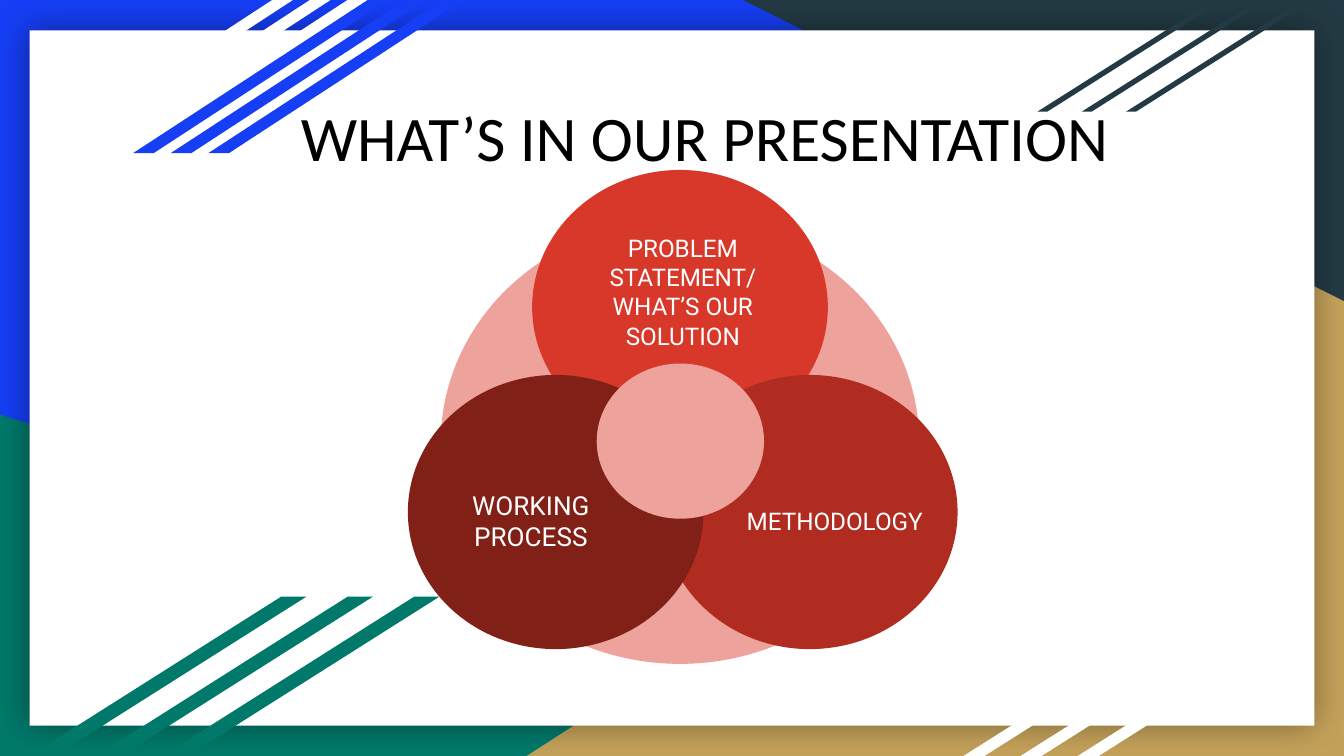
from dataclasses import dataclass

from lxml.etree import SubElement
from pptx import Presentation
from pptx.dml.color import RGBColor
from pptx.enum.shapes import MSO_SHAPE
from pptx.enum.text import MSO_ANCHOR, PP_ALIGN
from pptx.oxml.ns import qn
from pptx.util import Emu, Pt

PAGE_WIDTH, PAGE_HEIGHT = 2000, 1125
INSET = 20


@dataclass(frozen=True)
class Theme:
    blue: str = "163EF5"
    green: str = "00796B"
    gold: str = "C4A15A"
    slate: str = "233A44"
    white: str = "FFFFFF"
    black: str = "000000"
    pink: str = "EDA29B"
    red: str = "D83829"
    brick: str = "B02C20"
    maroon: str = "802017"
    title_font: str = "Calibri"
    label_font: str = "Roboto"
    title_size: int = 34
    label_size: int = 13
    large_label_size: int = 14


THEME = Theme()


def px(length):
    """Turn px, 200 to the inch, into EMU."""
    return Emu(length * 4572)


def add_filled(page, kind, left, top, width, height, color):
    shape = page.shapes.add_shape(kind, px(left), px(top), px(width), px(height))
    shape.shadow.inherit = False
    shape.fill.solid()
    shape.fill.fore_color.rgb = RGBColor.from_string(color)
    shape.line.fill.background()
    return shape


def add_corner(page, left, top, width, height, color, rotation=0, mirrored=False):
    corner = add_filled(page, MSO_SHAPE.RIGHT_TRIANGLE, left, top, width, height, color)
    corner.rotation = rotation
    if mirrored:
        corner._element.spPr.xfrm.set("flipH", "1")


def add_panel(page):
    """Add the white sheet with a soft glow-like shadow around it."""
    panel = add_filled(page, MSO_SHAPE.RECTANGLE, 44, 45, 1912, 1035, THEME.white)
    effects = panel._element.spPr.find(qn("a:effectLst"))
    shadow = SubElement(effects, qn("a:outerShdw"), blurRad=str(Pt(18)), dist="0",
                        dir="0", algn="ctr", rotWithShape="0")
    color = SubElement(shadow, qn("a:srgbClr"), val=THEME.black)
    SubElement(color, qn("a:alpha"), val="40000")


def add_stripes(page, left, top, width, height, step, color, slant=1.58):
    """Add three slanted bars, the rightmost at the back."""
    for position in (2, 1, 0):
        bar = add_filled(page, MSO_SHAPE.PARALLELOGRAM, left + position * step, top,
                         width, height, color)
        bar.adjustments[0] = slant


def add_text(page, left, top, width, height, *lines, font, size, color,
             align=PP_ALIGN.LEFT, anchor=MSO_ANCHOR.TOP):
    box = page.shapes.add_textbox(px(left), px(top), px(width), px(height))
    frame = box.text_frame
    frame.word_wrap = True
    frame.vertical_anchor = anchor
    frame.margin_left = frame.margin_right = px(INSET)
    frame.margin_top = frame.margin_bottom = px(INSET)
    for number, line in enumerate(lines):
        para = frame.add_paragraph() if number else frame.paragraphs[0]
        para.alignment = align
        span = para.add_run()
        span.text = line
        span.font.name = font
        span.font.size = Pt(size)
        span.font.color.rgb = RGBColor.from_string(color)


def add_topic(page, left, top, color, label_left, label_top, *lines,
              size=THEME.label_size):
    add_filled(page, MSO_SHAPE.OVAL, left, top, 440, 408, color)
    add_text(page, label_left, label_top, 304, 132, *lines, font=THEME.label_font,
             size=size, color=THEME.white, align=PP_ALIGN.CENTER,
             anchor=MSO_ANCHOR.MIDDLE)


def add_backdrop(page):
    fill = page.background.fill
    fill.solid()
    fill.fore_color.rgb = RGBColor.from_string(THEME.blue)
    add_corner(page, 0, 617, 1612, 508, THEME.green)
    add_corner(page, 784, 340, 1216, 785, THEME.gold, mirrored=True)
    add_corner(page, 1106, 0, 894, 448, THEME.slate, rotation=180)
    add_panel(page)
    add_stripes(page, 56, 0, 380, 228, 56, THEME.white, slant=1.532)
    add_stripes(page, 198, 0, 380, 228, 56, THEME.blue, slant=1.532)
    add_stripes(page, 1544, 2, 274, 164, 66, THEME.slate)
    add_stripes(page, 1434, 922, 352, 203, 85, THEME.white)
    add_stripes(page, 44, 888, 412, 237, 99, THEME.green)


def add_topics(page):
    add_filled(page, MSO_SHAPE.OVAL, 656, 328, 712, 660, THEME.pink)
    add_topic(page, 792, 253, THEME.red, 864, 368,
              "PROBLEM STATEMENT/", "WHAT’S OUR SOLUTION")
    add_topic(page, 985, 558, THEME.brick, 1090, 709, "METHODOLOGY")
    add_topic(page, 607, 558, THEME.maroon, 638, 709, "WORKING PROCESS",
              size=THEME.large_label_size)
    add_filled(page, MSO_SHAPE.OVAL, 888, 541, 249, 231, THEME.pink)


def main():
    deck = Presentation()
    deck.slide_width, deck.slide_height = px(PAGE_WIDTH), px(PAGE_HEIGHT)
    page = deck.slides.add_slide(deck.slide_layouts[6])
    add_backdrop(page)
    add_topics(page)
    add_text(page, 428, 126, 1368, 154, "WHAT’S IN OUR PRESENTATION",
             font=THEME.title_font, size=THEME.title_size, color=THEME.black)
    deck.save("out.pptx")


if __name__ == "__main__":
    main()
